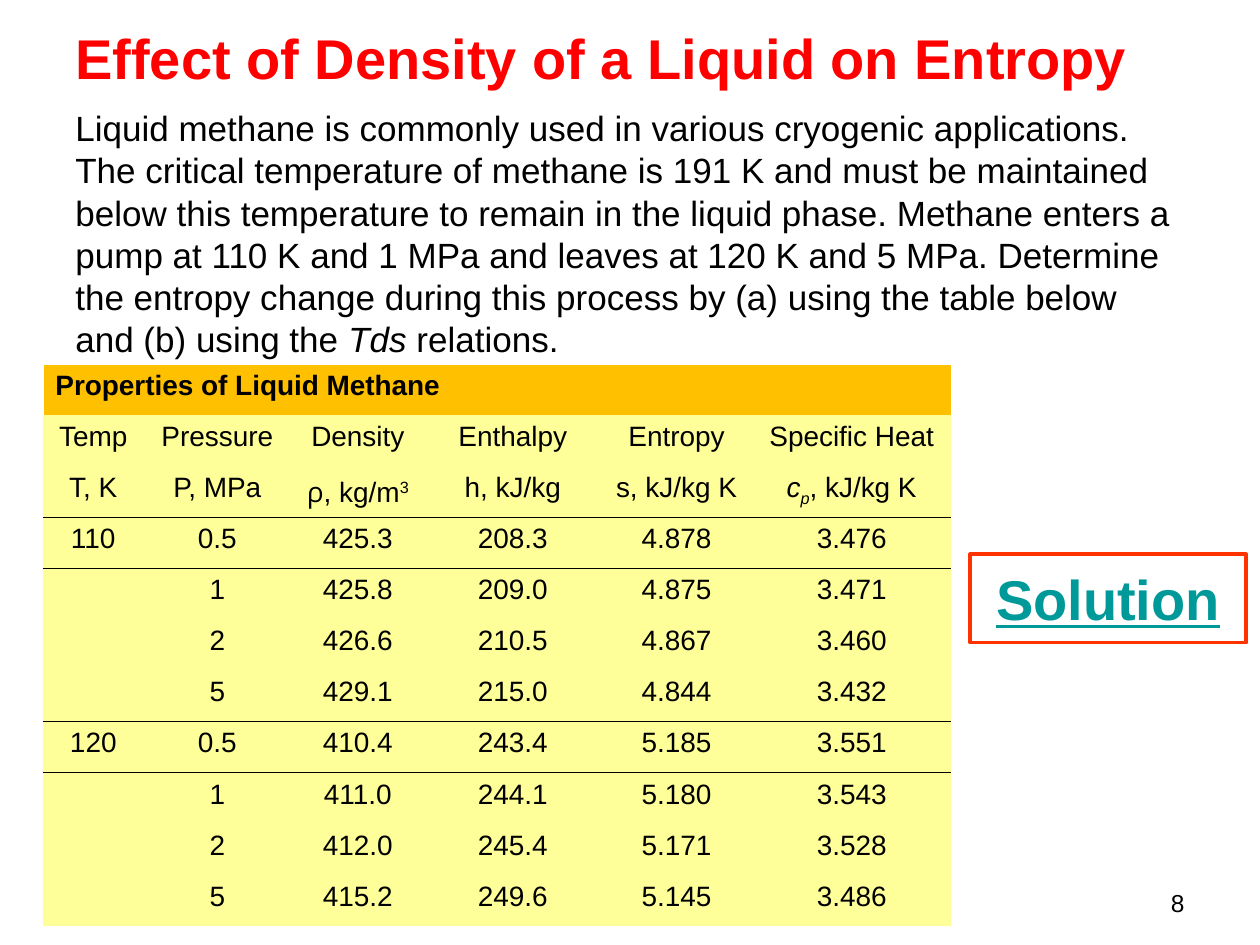
from lxml import etree
from pptx import Presentation
from pptx.dml.color import RGBColor
from pptx.enum.shapes import MSO_SHAPE
from pptx.enum.text import MSO_ANCHOR, PP_ALIGN
from pptx.oxml.ns import qn
from pptx.util import Inches, Pt

LEFT, MID, RIGHT = PP_ALIGN.LEFT, PP_ALIGN.CENTER, PP_ALIGN.RIGHT
TOP, CENTER = MSO_ANCHOR.TOP, MSO_ANCHOR.MIDDLE
RECT = MSO_SHAPE.RECTANGLE
PLAIN = "{2D5ABB26-0587-4C30-8999-92F81FD0307C}"  # no style, no grid

COLORS = {
    "title": "FF0000", "text": "000000", "link": "009999", "frame": "FF3300",
    "head": "FFC000", "cell": "FFFF99", "white": "FFFFFF",
}

PROBLEM = (
    "Liquid methane is commonly used in various cryogenic applications. "
    "The critical temperature of methane is 191 K and must be maintained "
    "below this temperature to remain in the liquid phase. Methane enters a "
    "pump at 110 K and 1 MPa and leaves at 120 K and 5 MPa. Determine the "
    "entropy change during this process by (a) using the table below and "
    "(b) using the "
)

WIDTHS = [0.8, 1.17, 1.06, 1.4, 1.2, 1.58]
NAMES = ["Temp", "Pressure", "Density", "Enthalpy", "Entropy", "Specific Heat"]
# A cell is a string, or a list of (text, run format) pairs
UNITS = [
    "T, K", "P, MPa",
    [("ρ", {"font": "Open Sans"}), (", kg/m", {}), ("3", {"base": 30})],
    "h, kJ/kg", "s, kJ/kg K",
    [("c", {"italic": True}), ("p", {"italic": True, "base": -25}),
     (", kJ/kg K", {})],
]
DATA = [
    ["110", "0.5", "425.3", "208.3", "4.878", "3.476"],
    ["", "1", "425.8", "209.0", "4.875", "3.471"],
    ["", "2", "426.6", "210.5", "4.867", "3.460"],
    ["", "5", "429.1", "215.0", "4.844", "3.432"],
    ["120", "0.5", "410.4", "243.4", "5.185", "3.551"],
    ["", "1", "411.0", "244.1", "5.180", "3.543"],
    ["", "2", "412.0", "245.4", "5.171", "3.528"],
    ["", "5", "415.2", "249.6", "5.145", "3.486"],
]
RULED = (2, 6)  # rows with a line below


def color(name):
    return RGBColor.from_string(COLORS[name])


def write(frame, text, size=16, ink="text", bold=False, under=False,
          align=LEFT):
    """Fill a text frame with a string or a list of formatted runs."""
    para = frame.paragraphs[0]
    para.alignment = align
    for part, form in [(text, {})] if isinstance(text, str) else text:
        run = para.add_run()
        run.text = part
        font = run.font
        font.name = form.get("font", "Arial")
        font.size = Pt(size)
        font.bold = bold
        font.italic = form.get("italic", False)
        font.underline = under
        font.color.rgb = color(ink)
        if "base" in form:
            font._element.set("baseline", str(form["base"] * 1000))


def add_text(slide, box, text, anchor=TOP, **form):
    frame = slide.shapes.add_textbox(*map(Inches, box)).text_frame
    frame.word_wrap = True
    frame.vertical_anchor = anchor
    write(frame, text, **form)


def add_button(slide, box, text, **form):
    shape = slide.shapes.add_shape(RECT, *map(Inches, box))
    shape.shadow.inherit = False
    shape.fill.solid()
    shape.fill.fore_color.rgb = color("white")
    shape.line.color.rgb = color("frame")
    shape.line.width = Pt(2.25)
    shape.text_frame.vertical_anchor = CENTER
    write(shape.text_frame, text, align=MID, **form)


def edge(cell, sides, ink):
    """Draw 1 pt borders; call before the fill, sides in L R T B order."""
    props = cell._tc.get_or_add_tcPr()
    for side in sides:
        line = etree.SubElement(props, qn(f"a:ln{side}"), w=str(Pt(1)))
        fill = etree.SubElement(line, qn("a:solidFill"))
        etree.SubElement(fill, qn("a:srgbClr"), val=COLORS[ink])


def paint(cell, name):
    cell.fill.solid()
    cell.fill.fore_color.rgb = color(name)


def add_grid(slide, box, rows):
    count = len(rows) + 1
    table = slide.shapes.add_table(
        count, len(WIDTHS), *map(Inches, box)).table
    table.horz_banding = table.first_row = False
    table._tbl.tblPr.find(qn("a:tableStyleId")).text = PLAIN
    for col, width in zip(table.columns, WIDTHS):
        col.width = Inches(width)

    # Heading across all columns
    head = table.cell(0, 0)
    head.merge(table.cell(0, len(WIDTHS) - 1))
    edge(head, "LRT", "white")
    paint(head, "head")
    write(head.text_frame, "Properties of Liquid Methane", bold=True)

    # Column names, units and values
    for r, row in enumerate(rows, 1):
        sides = "T" * (r - 1 in RULED) + "B" * (r in RULED)
        for c, text in enumerate(row):
            cell = table.cell(r, c)
            edge(cell, sides, "text")
            paint(cell, "cell")
            if text:
                write(cell.text_frame, text, align=MID)


def main():
    deck = Presentation()
    deck.slide_width, deck.slide_height = Inches(10), Inches(7.5)
    slide = deck.slides.add_slide(deck.slide_layouts[6])

    # Title and problem
    add_text(slide, (0.5, 0.1, 9, 0.7),
             "Effect of Density of a Liquid on Entropy",
             anchor=CENTER, size=32, ink="title", bold=True)
    add_text(slide, (0.5, 0.8, 9, 2.24),
             [(PROBLEM, {}), ("Tds", {"italic": True}), (" relations.", {})],
             size=20)

    # Page number
    add_text(slide, (7.17, 7, 2.33, 0.35), "8", size=14, align=RIGHT)

    # Property table and solution button
    add_grid(slide, (0.34, 2.89, 7.21, 4.46), [NAMES, UNITS] + DATA)
    add_button(slide, (7.7, 4.4, 2.19, 0.7), "Solution",
               size=32, ink="link", bold=True, under=True)

    deck.save("out.pptx")


if __name__ == "__main__":
    main()
